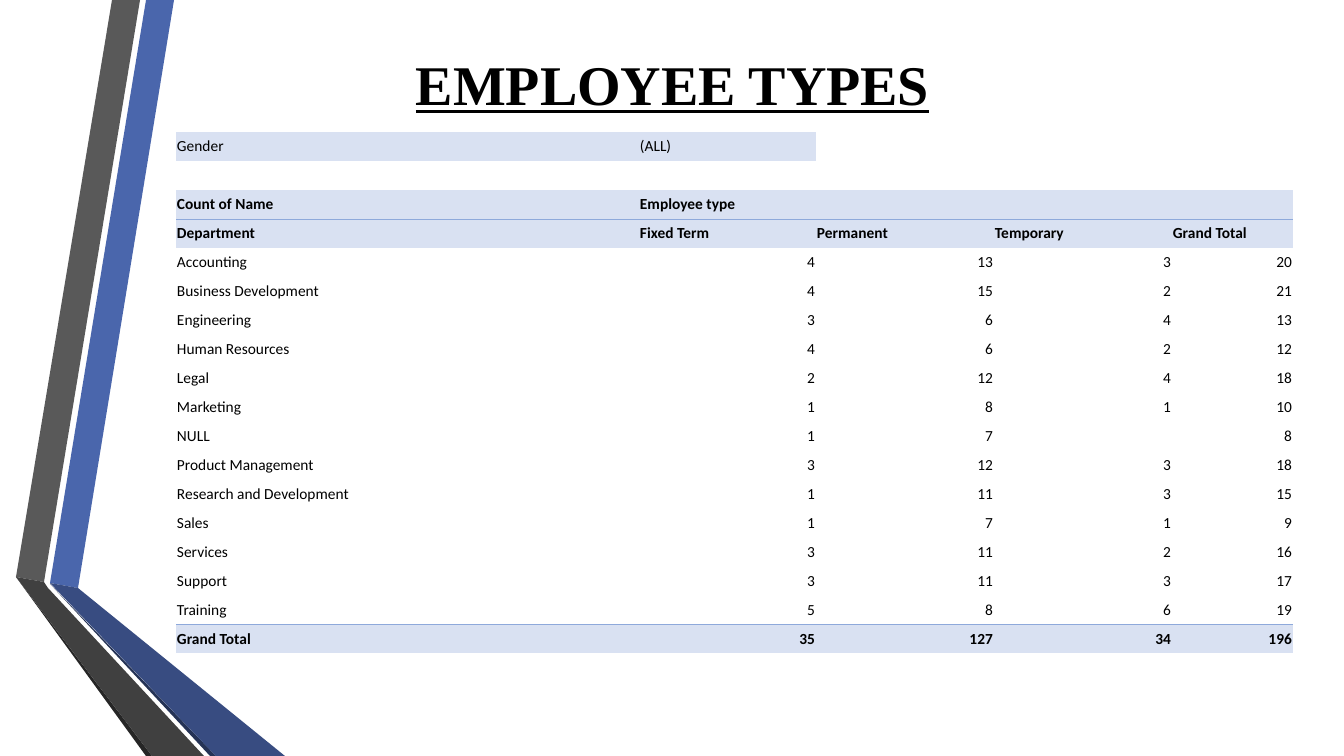
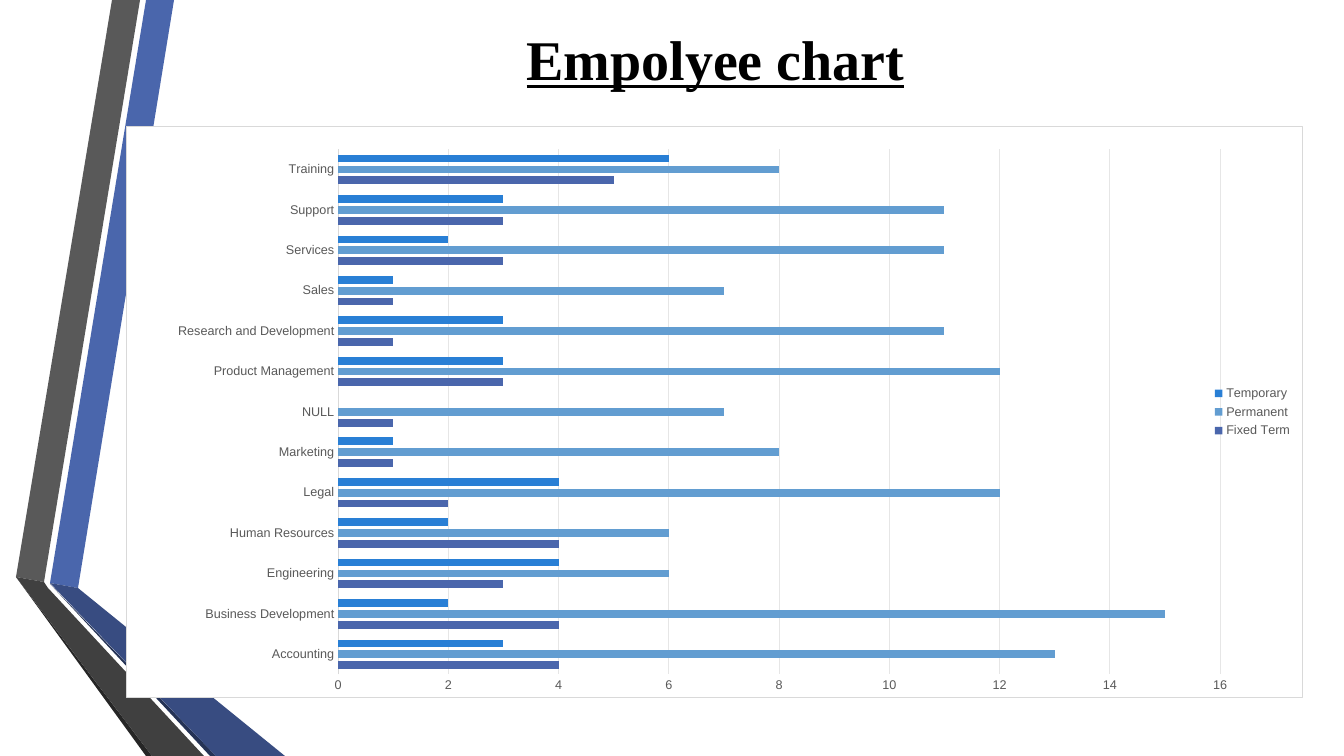
import lxml.etree
import pptx
import pptx.chart.data
import pptx.dml.color
import pptx.enum.chart
import pptx.enum.text
import pptx.oxml
import pptx.oxml.ns
import pptx.util

RGBColor = pptx.dml.color.RGBColor
Pt = pptx.util.Pt
qn = pptx.oxml.ns.qn
Align = pptx.enum.text.PP_ALIGN
Anchor = pptx.enum.text.MSO_ANCHOR

WIDTH, HEIGHT = 1344, 756
SCALE = 12192000 / WIDTH

BLACK = RGBColor(0x00, 0x00, 0x00)
WHITE = RGBColor(0xFF, 0xFF, 0xFF)
BLUE = RGBColor(0x4A, 0x66, 0xAC)
BLUE_DARK = RGBColor(0x38, 0x4C, 0x81)
BLUE_DEEP = RGBColor(0x25, 0x33, 0x56)
BLUE_LIGHT = RGBColor(0x62, 0x9D, 0xD1)
BLUE_BRIGHT = RGBColor(0x29, 0x7F, 0xD5)
GRAY = RGBColor(0x59, 0x59, 0x59)
GRAY_DARK = RGBColor(0x40, 0x40, 0x40)
GRAY_DEEP = RGBColor(0x26, 0x26, 0x26)
GRAY_LINE = RGBColor(0xD9, 0xD9, 0xD9)
GRAY_GRID = RGBColor(0xE6, 0xE6, 0xE6)
ROW_FILL = RGBColor(0xD9, 0xE1, 0xF2)
ROW_LINE = RGBColor(0x8E, 0xA9, 0xDB)

TITLE_FONT = {"name": "Times New Roman", "size": Pt(40), "bold": True, "underline": True}
CELL_FONT = {"name": "Calibri", "size": Pt(11)}
CHART_FONT = {"name": "Arial", "size": Pt(9)}

RIBBONS = [
    (BLUE, [(50, 583), (78, 588), (174, 0), (146, 0)]),
    (GRAY, [(140, 0), (112, 0), (16, 577), (44, 582)]),
    (GRAY_DEEP, [(16, 577), (146, 756), (152, 756)]),
    (BLUE_DEEP, [(50, 584), (210, 756), (216, 756)]),
    (BLUE_DARK, [(50, 583), (216, 756), (285, 756), (78, 588)]),
    (GRAY_DARK, [(204, 756), (48, 588), (44, 582), (16, 577), (152, 756)]),
]

TYPES = {"Fixed Term": BLUE, "Permanent": BLUE_LIGHT, "Temporary": BLUE_BRIGHT}
COUNTS = {
    "Accounting": (4, 13, 3),
    "Business Development": (4, 15, 2),
    "Engineering": (3, 6, 4),
    "Human Resources": (4, 6, 2),
    "Legal": (2, 12, 4),
    "Marketing": (1, 8, 1),
    "NULL": (1, 7, None),
    "Product Management": (3, 12, 3),
    "Research and Development": (1, 11, 3),
    "Sales": (1, 7, 1),
    "Services": (3, 11, 2),
    "Support": (3, 11, 3),
    "Training": (5, 8, 6),
}


def px(length):
    return round(length * SCALE)


def apply(target, formats):
    for name, value in formats.items():
        setattr(target, name, value)


def apply_font(font, formats, color):
    apply(font, formats)
    font.color.rgb = color


def total(values):
    return sum(value or 0 for value in values)


class Slides:
    def __init__(self):
        self.deck = pptx.Presentation()
        apply(self.deck, {"slide_width": px(WIDTH), "slide_height": px(HEIGHT)})
        self.page = None

    def add_page(self):
        self.page = self.deck.slides.add_slide(self.deck.slide_layouts[6])
        for color, points in RIBBONS:
            self.ribbon(color, points)

    def ribbon(self, color, points):
        builder = self.page.shapes.build_freeform(*points[0], scale=SCALE)
        builder.add_line_segments(points[1:], close=True)
        shape = builder.convert_to_shape()
        shape.shadow.inherit = False
        shape.fill.solid()
        shape.fill.fore_color.rgb = color
        shape.line.fill.background()

    def title(self, text, *place):
        box = self.page.shapes.add_textbox(*map(px, place))
        apply(box.text_frame, {"word_wrap": True, "vertical_anchor": Anchor.MIDDLE})
        para = box.text_frame.paragraphs[0]
        para.alignment = Align.CENTER
        span = para.add_run()
        span.text = text
        apply_font(span.font, TITLE_FONT, BLACK)

    def table(self, left, top, widths, row_height, rows):
        frame = self.page.shapes.add_table(
            len(rows), len(widths), px(left), px(top),
            px(sum(widths)), px(row_height * len(rows)))
        table = frame.table
        apply(table, {"first_row": False, "horz_banding": False})
        for column, width in zip(table.columns, widths):
            column.width = px(width)
        for row in table.rows:
            row.height = px(row_height)
        for row_index, (values, formats) in enumerate(rows):
            for column_index in range(len(widths)):
                cell = table.cell(row_index, column_index)
                if column_index < len(values):
                    self.cell(cell, values[column_index], **formats)
                else:
                    self.cell(cell, None)

    def cell(self, cell, value, bold=False, filled=False, above=False, below=False):
        apply(cell, {
            "margin_left": px(1), "margin_top": px(1), "margin_right": px(1),
            "margin_bottom": px(5), "vertical_anchor": Anchor.BOTTOM})
        for side, shown in (("L", False), ("R", False), ("T", above), ("B", below)):
            self.cell_border(cell, side, shown)
        if filled:
            cell.fill.solid()
            cell.fill.fore_color.rgb = ROW_FILL
        else:
            cell.fill.background()
        para = cell.text_frame.paragraphs[0]
        if value is None:
            size = str(int(CELL_FONT["size"].pt * 100))
            lxml.etree.SubElement(para._p, qn("a:endParaRPr"), sz=size)
            return
        para.alignment = Align.RIGHT if isinstance(value, int) else Align.LEFT
        span = para.add_run()
        span.text = str(value)
        apply_font(span.font, {**CELL_FONT, "bold": bold}, BLACK)

    def cell_border(self, cell, side, shown):
        properties = cell._tc.get_or_add_tcPr()
        border = lxml.etree.SubElement(properties, qn("a:ln" + side), w=str(Pt(0.5)))
        if shown:
            fill = lxml.etree.SubElement(border, qn("a:solidFill"))
            lxml.etree.SubElement(fill, qn("a:srgbClr"), val=str(ROW_LINE))
        else:
            lxml.etree.SubElement(border, qn("a:noFill"))

    def bar_chart(self, place, categories, series, plot_area):
        data = pptx.chart.data.CategoryChartData()
        data.categories = categories
        for name, values, color in series:
            data.add_series(name, values)
        frame = self.page.shapes.add_chart(
            pptx.enum.chart.XL_CHART_TYPE.BAR_CLUSTERED, *map(px, place), data)
        chart = frame.chart
        apply(chart, {"has_title": False, "has_legend": True})
        apply_font(chart.font, CHART_FONT, GRAY)
        plot = chart.plots[0]
        apply(plot, {"gap_width": 140, "overlap": -40, "vary_by_categories": False})
        for bars, (name, values, color) in zip(plot.series, series):
            bars.format.fill.solid()
            bars.format.fill.fore_color.rgb = color
        apply(chart.legend, {
            "position": pptx.enum.chart.XL_LEGEND_POSITION.RIGHT, "include_in_layout": False})
        apply_font(chart.legend.font, CHART_FONT, GRAY)
        self.chart_axes(chart)
        self.chart_frame(chart, plot_area)

    def chart_axes(self, chart):
        none = pptx.enum.chart.XL_TICK_MARK.NONE
        for axis in (chart.category_axis, chart.value_axis):
            apply(axis, {"major_tick_mark": none, "minor_tick_mark": none})
            apply_font(axis.tick_labels.font, CHART_FONT, GRAY)
        line = chart.category_axis.format.line
        line.width = Pt(0.75)
        line.color.rgb = GRAY_LINE
        values = chart.value_axis
        apply(values, {
            "minimum_scale": 0, "maximum_scale": 16, "major_unit": 2,
            "has_major_gridlines": True})
        values.format.line.fill.background()
        grid = values.major_gridlines.format.line
        grid.width = Pt(0.75)
        grid.color.rgb = GRAY_GRID

    def chart_frame(self, chart, plot_area):
        space = chart._chartSpace
        area = space.find(".//" + qn("c:plotArea"))
        for layout in area.findall(qn("c:layout")):
            area.remove(layout)
        layout = lxml.etree.Element(qn("c:layout"))
        manual = lxml.etree.SubElement(layout, qn("c:manualLayout"))
        settings = {"layoutTarget": "inner", "xMode": "edge", "yMode": "edge"}
        settings.update(zip("xywh", map(str, plot_area)))
        for name, value in settings.items():
            lxml.etree.SubElement(manual, qn("c:" + name), val=value)
        area.insert(0, layout)
        style = pptx.oxml.parse_xml(
            f'<c:spPr {pptx.oxml.ns.nsdecls("c", "a")}>'
            f'<a:solidFill><a:srgbClr val="{WHITE}"/></a:solidFill>'
            f'<a:ln w="{Pt(0.75)}"><a:solidFill><a:srgbClr val="{GRAY_LINE}"/></a:solidFill></a:ln>'
            '</c:spPr>')
        space.find(qn("c:chart")).addnext(style)


def employee_rows():
    header = {"bold": True, "filled": True, "below": True}
    rows = [
        (["Gender", "(ALL)"], {"filled": True, "below": True}),
        ([], {}),
        (["Count of Name", "Employee type", None, None, None], header),
        (["Department", *TYPES, "Grand Total"], {**header, "above": True}),
    ]
    rows += [([name, *counts, total(counts)], {}) for name, counts in COUNTS.items()]
    sums = [total(counts) for counts in zip(*COUNTS.values())]
    rows.append((["Grand Total", *sums, total(sums)],
                 {"bold": True, "filled": True, "above": True}))
    return rows


def main():
    slides = Slides()

    slides.add_page()
    slides.title("EMPLOYEE TYPES", 84, 42, 1177, 82)
    slides.table(176, 132, [463, 177, 178, 178, 121], 29, employee_rows())

    slides.add_page()
    slides.title("Empolyee chart", 465, 17, 501, 82)
    series = [(name, values, color) for (name, color), values
              in zip(TYPES.items(), zip(*COUNTS.values()))]
    slides.bar_chart((126, 126, 1177, 572), list(COUNTS), series, (0.18, 0.04, 0.75, 0.92))

    slides.deck.save("out.pptx")


if __name__ == "__main__":
    main()
